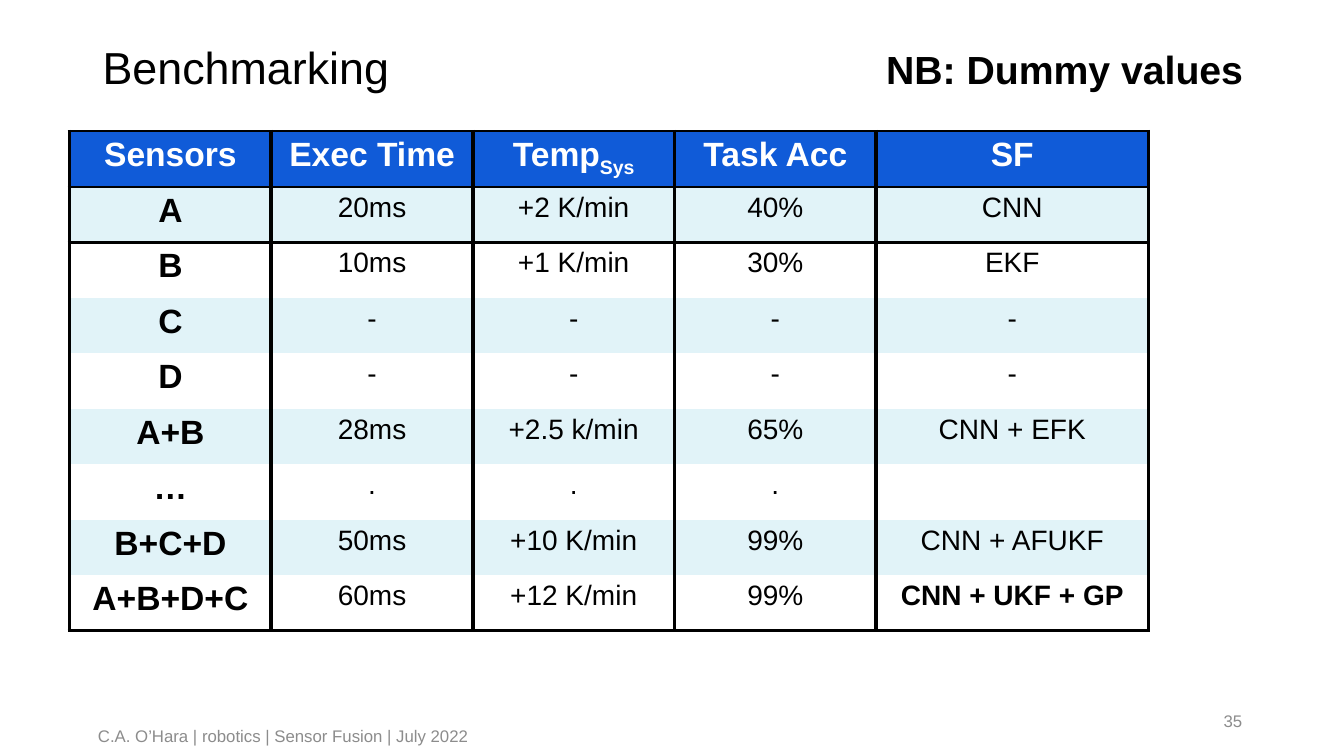
from dataclasses import dataclass

import pptx
import pptx.dml.color
import pptx.enum.text
import pptx.oxml.ns
import pptx.util
from lxml import etree

Inches = pptx.util.Inches
Pt = pptx.util.Pt
Align = pptx.enum.text.PP_ALIGN
Anchor = pptx.enum.text.MSO_ANCHOR
qn = pptx.oxml.ns.qn


@dataclass(frozen=True)
class Theme:
    font: str = "Arial"
    ink: str = "000000"
    muted: str = "8C8C8C"
    paper: str = "FFFFFF"
    header: str = "105BD8"
    band: str = "E1F3F8"
    title_size: int = 32
    note_size: int = 28
    label_size: int = 24
    value_size: int = 20
    footer_size: int = 12
    column_rule: int = 3
    row_rule: int = 2
    no_table_style: str = "{2D5ABB26-0587-4C30-8999-92F81FD0307C}"


THEME = Theme()

HEADINGS = ["Sensors", "Exec Time", "Temp", "Task Acc", "SF"]
SUBSCRIPTS = {"Temp": "Sys"}
RESULTS = [
    ["A", "20ms", "+2 K/min", "40%", "CNN"],
    ["B", "10ms", "+1 K/min", "30%", "EKF"],
    ["C", "-", "-", "-", "-"],
    ["D", "-", "-", "-", "-"],
    ["A+B", "28ms", "+2.5 k/min", "65%", "CNN + EFK"],
    ["…", ".", ".", ".", ""],
    ["B+C+D", "50ms", "+10 K/min", "99%", "CNN + AFUKF"],
    ["A+B+D+C", "60ms", "+12 K/min", "99%", "CNN + UKF + GP"],
]
BEST_METHOD = "CNN + UKF + GP"
COLUMN_WIDTHS = [2, 2, 2, 2, 2.7]
HEADER_HEIGHT, RESULT_HEIGHT = 0.54, 0.55


def write(frame, text, size, color=THEME.ink, bold=False, align=Align.LEFT,
          subscript="", spacing=None):
    paragraph = frame.paragraphs[0]
    paragraph.alignment = align
    if spacing:
        paragraph.line_spacing = spacing
    for part in filter(None, (text, subscript)):
        run = paragraph.add_run()
        run.text = part
        run.font.name = THEME.font
        run.font.size = Pt(size)
        run.font.bold = bold
        run.font.color.rgb = pptx.dml.color.RGBColor.from_string(color)
    if subscript:
        run._r.get_or_add_rPr().set("baseline", "-25000")


def add_text(slide, box, text, anchor=Anchor.MIDDLE, wrap=True, **text_format):
    frame = slide.shapes.add_textbox(*map(Inches, box)).text_frame
    frame.word_wrap = wrap
    frame.vertical_anchor = anchor
    write(frame, text, **text_format)


def add_border(cell, side, width):
    line = etree.SubElement(cell._tc.get_or_add_tcPr(), qn(f"a:ln{side}"),
                            w=str(Pt(width)))
    fill = etree.SubElement(line, qn("a:solidFill"))
    etree.SubElement(fill, qn("a:srgbClr"), val=THEME.ink)


def style_cell(cell, fill, top, bottom):
    """Rule both sides, and the top or bottom where asked, then fill."""
    for side in "LR":
        add_border(cell, side, THEME.column_rule)
    for side, ruled in (("T", top), ("B", bottom)):
        if ruled:
            add_border(cell, side, THEME.row_rule)
    cell.fill.solid()
    cell.fill.fore_color.rgb = pptx.dml.color.RGBColor.from_string(fill)


def add_results(slide, left, top):
    rows = [HEADINGS, *RESULTS]
    height = HEADER_HEIGHT + RESULT_HEIGHT * len(RESULTS)
    frame = slide.shapes.add_table(
        len(rows), len(HEADINGS), Inches(left), Inches(top),
        Inches(sum(COLUMN_WIDTHS)), Inches(height))
    table = frame.table
    table._tbl.tblPr.find(qn("a:tableStyleId")).text = THEME.no_table_style
    for column, width in zip(table.columns, COLUMN_WIDTHS):
        column.width = Inches(width)

    for r, values in enumerate(rows):
        is_header = r == 0
        table.rows[r].height = Inches(HEADER_HEIGHT if is_header else RESULT_HEIGHT)
        fill = THEME.header if is_header else THEME.band if r % 2 else THEME.paper
        for c, value in enumerate(values):
            cell = table.cell(r, c)
            style_cell(cell, fill, top=r <= 1,
                       bottom=is_header or r == len(RESULTS))
            is_label = is_header or c == 0
            write(cell.text_frame, value,
                  size=THEME.label_size if is_label else THEME.value_size,
                  color=THEME.paper if is_header else THEME.ink,
                  bold=is_label or value == BEST_METHOD, align=Align.CENTER,
                  subscript=SUBSCRIPTS.get(value, ""))


def add_heading(slide, left, top):
    add_text(slide, (left, top, 11.5, 0.59), "Benchmarking",
             size=THEME.title_size, spacing=0.9)
    add_text(slide, (left + 7.77, top, 4.01, 0.57), "NB: Dummy values",
             anchor=Anchor.TOP, wrap=False, size=THEME.note_size, bold=True)


def add_footer(slide, left, top):
    small = dict(size=THEME.footer_size, color=THEME.muted)
    add_text(slide, (left, top + 0.15, 5.62, 0.4),
             "C.A. O’Hara | robotics | Sensor Fusion | July 2022",
             align=Align.CENTER, **small)
    add_text(slide, (left + 9.42, top, 3, 0.4), "35", align=Align.RIGHT, **small)


def main():
    deck = pptx.Presentation()
    deck.slide_width, deck.slide_height = Inches(13.33), Inches(7.5)
    slide = deck.slides.add_slide(deck.slide_layouts[6])
    add_heading(slide, 0.92, 0.4)
    add_results(slide, 0.69, 1.3)
    add_footer(slide, 0, 6.95)
    deck.save("out.pptx")


if __name__ == "__main__":
    main()
